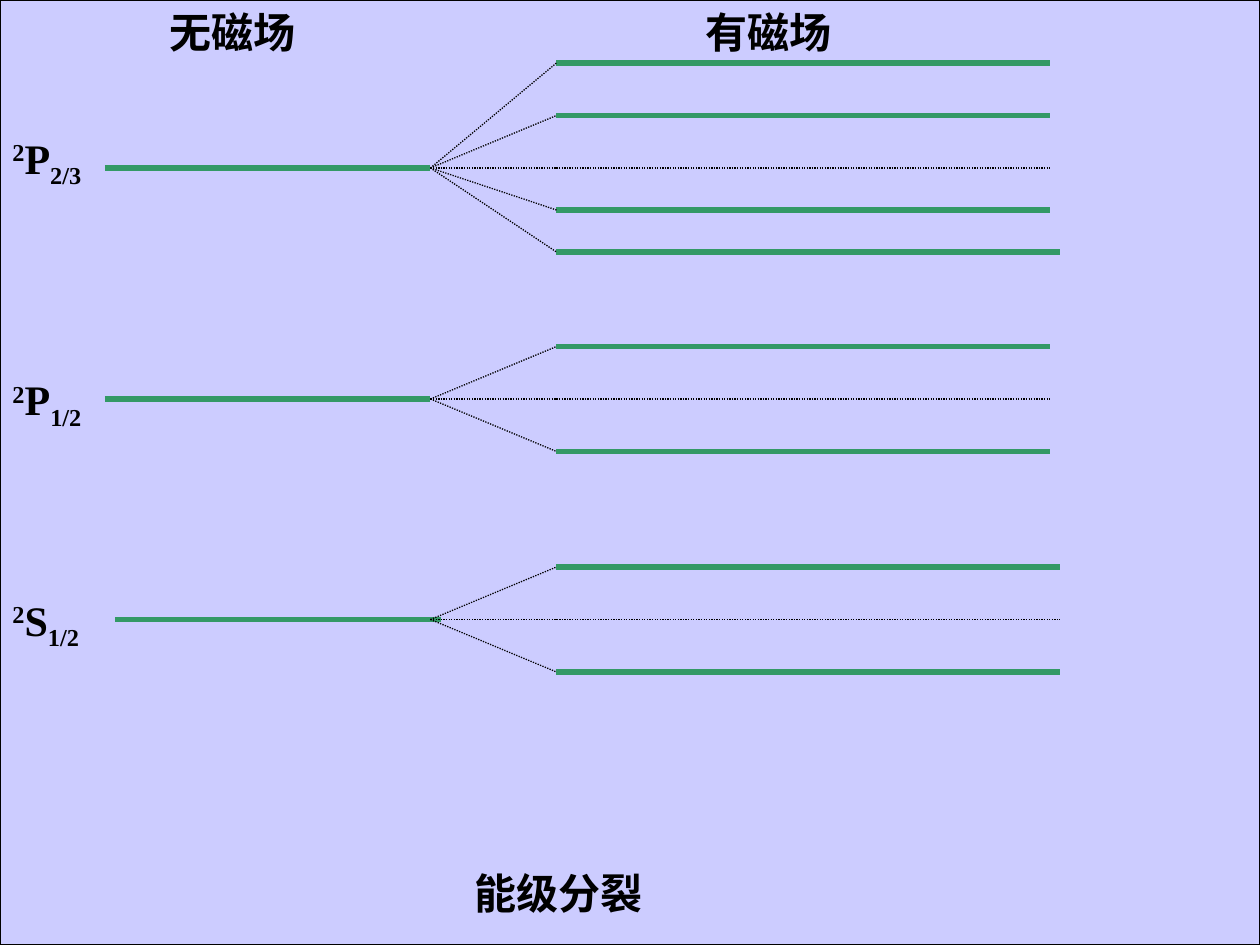
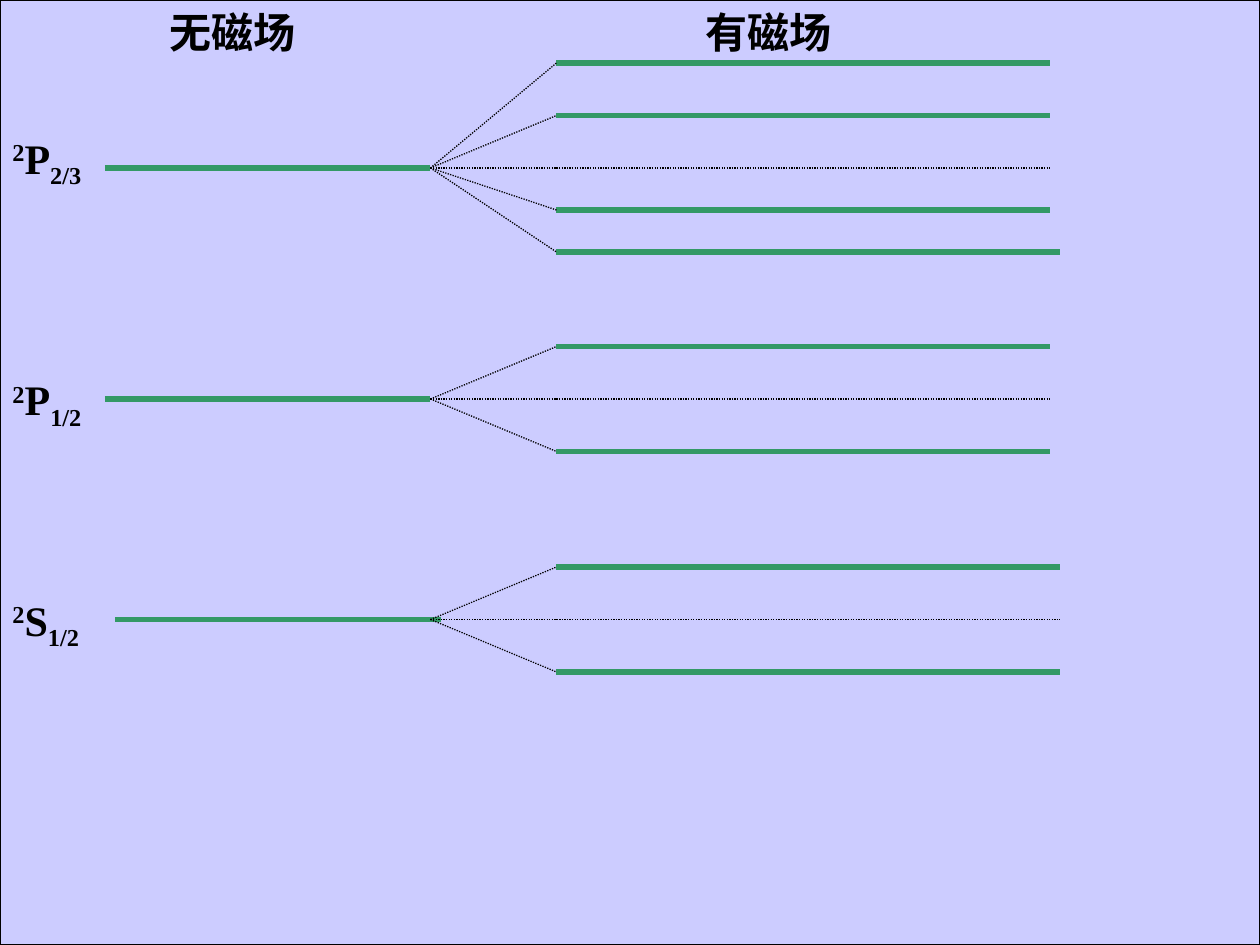
import pptx
import pptx.dml.color
import pptx.enum.dml
import pptx.enum.lang
import pptx.enum.shapes
import pptx.enum.text
import pptx.oxml.ns
import pptx.util
from lxml import etree

Pt = pptx.util.Pt

COLORS = {"panel": "CCCCFF", "level": "339966", "ink": "000000"}
FONT = {"name": "Times New Roman", "size": Pt(24), "bold": True,
        "language_id": pptx.enum.lang.MSO_LANGUAGE_ID.SIMPLIFIED_CHINESE}
LEVEL_LINE = {"color": "level", "width": 3}
DOTTED_LINE = {"color": "ink", "width": 0.75,
               "dash": pptx.enum.dml.MSO_LINE.ROUND_DOT}
WIDTH, HEIGHT = 720, 540
BOX_HEIGHT = 36
FORK_X, SPLIT_X = 246, 318

# Each level: term symbol, label (top, width), height of the unsplit level and
# its (left, right), right end and reach of the dotted axis, and the
# split levels as (height, right end).
LEVELS = [
    {"term": ("2", "P", "2/3"), "label": (72, 78), "y": 96, "span": (60, 246),
     "axis_right": 600, "fork_right": 318,
     "split": [(36, 600), (66, 600), (120, 600), (144, 606)]},
    {"term": ("2", "P", "1/2"), "label": (210, 96), "y": 228, "span": (60, 246),
     "axis_right": 600, "fork_right": 318,
     "split": [(198, 600), (258, 600)]},
    {"term": ("2", "S", "1/2"), "label": (336, 72), "y": 354, "span": (66, 252),
     "axis_right": 606, "fork_right": 324,
     "split": [(324, 606), (384, 606)]},
]
TERM_BASELINES = ("30000", None, "-25000")
HEADINGS = [("无磁场", 90, 0, 132), ("有磁场", 396, 0, 156)]
CAPTION = ("能级分裂", 264, 492, 360)
SLIDES = [
    {"texts": HEADINGS + [CAPTION], "grouped": True},
    {"texts": HEADINGS, "grouped": False},
]


def rgb(name):
    return pptx.dml.color.RGBColor.from_string(COLORS[name])


def add_panel(page):
    panel = page.shapes.add_shape(pptx.enum.shapes.MSO_SHAPE.RECTANGLE,
                                  0, 0, Pt(WIDTH), Pt(HEIGHT))
    panel.shadow.inherit = False
    panel.fill.solid()
    panel.fill.fore_color.rgb = rgb("panel")
    panel.line.color.rgb = rgb("ink")
    panel.line.width = Pt(0.75)


def add_line(shapes, start, end, style):
    line = shapes.add_connector(pptx.enum.shapes.MSO_CONNECTOR.STRAIGHT,
                                *map(Pt, start + end))
    line.line.color.rgb = rgb(style["color"])
    line.line.width = Pt(style["width"])
    if "dash" in style:
        line.line.dash_style = style["dash"]
    etree.SubElement(line._element.spPr, pptx.oxml.ns.qn("a:effectLst"))


def add_text(page, left, top, width, parts):
    """Add one line of text; parts are (words, baseline shift) pairs."""
    box = page.shapes.add_textbox(Pt(left), Pt(top), Pt(width), Pt(BOX_HEIGHT))
    box.text_frame.word_wrap = True
    box.text_frame.auto_size = pptx.enum.text.MSO_AUTO_SIZE.SHAPE_TO_FIT_TEXT
    para = box.text_frame.paragraphs[0]
    for words, baseline in parts:
        span = para.add_run()
        span.text = words
        for name, value in FONT.items():
            setattr(span.font, name, value)
        span.font.color.rgb = rgb("ink")
        if baseline:
            span._r.get_or_add_rPr().set("baseline", baseline)


def add_splitting(shapes, level):
    """Draw the split levels, their dotted axis and the fork leading to them."""
    y = level["y"]
    for split_y, right in level["split"]:
        add_line(shapes, (SPLIT_X, split_y), (right, split_y), LEVEL_LINE)
    add_line(shapes, (SPLIT_X, y), (level["axis_right"], y), DOTTED_LINE)
    fork_ends = [(SPLIT_X, split_y) for split_y, _ in level["split"]]
    for end in fork_ends + [(level["fork_right"], y)]:
        add_line(shapes, (FORK_X, y), end, DOTTED_LINE)


def add_slide(deck, content):
    page = deck.slides.add_slide(deck.slide_layouts[6])
    add_panel(page)
    for level in LEVELS:
        left, right = level["span"]
        add_line(page.shapes, (left, level["y"]), (right, level["y"]), LEVEL_LINE)
        top, width = level["label"]
        add_text(page, 0, top, width, zip(level["term"], TERM_BASELINES))
        holder = page.shapes.add_group_shape() if content["grouped"] else page
        add_splitting(holder.shapes, level)
    for words, left, top, width in content["texts"]:
        add_text(page, left, top, width, [(words, None)])


def main():
    deck = pptx.Presentation()
    deck.slide_width, deck.slide_height = Pt(WIDTH), Pt(HEIGHT)
    for content in SLIDES:
        add_slide(deck, content)
    deck.save("out.pptx")


if __name__ == "__main__":
    main()
